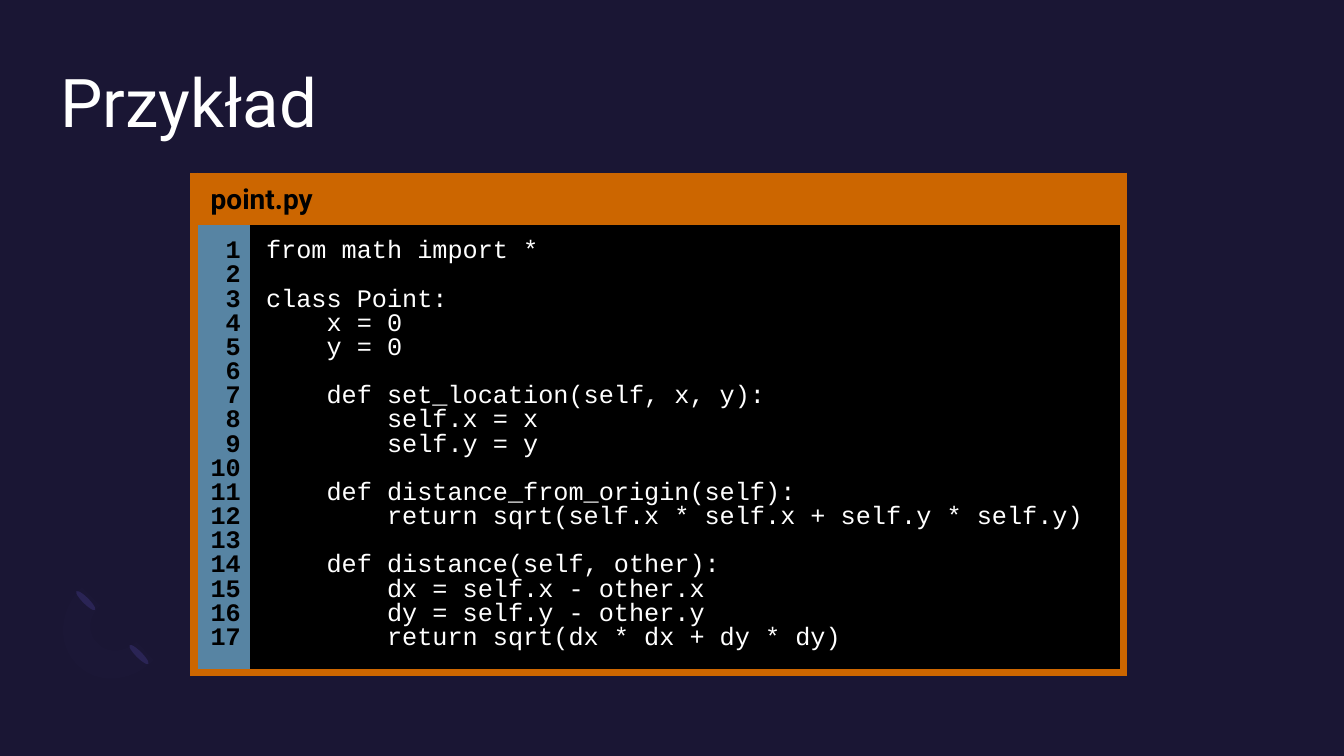
import lxml.etree
import pptx
import pptx.dml.color
import pptx.enum.shapes
import pptx.enum.text
import pptx.oxml
import pptx.oxml.ns
import pptx.util

Pt = pptx.util.Pt
RGBColor = pptx.dml.color.RGBColor
ALIGN = pptx.enum.text.PP_ALIGN

NIGHT = RGBColor(0x1A, 0x16, 0x34)
EYE = RGBColor(0x29, 0x23, 0x53)
SMILE = RGBColor(0x72, 0x66, 0xBE)
ORANGE = RGBColor(0xCC, 0x66, 0x00)
BLUE = RGBColor(0x57, 0x84, 0xA3)
BLACK = RGBColor(0x00, 0x00, 0x00)
WHITE = RGBColor(0xFF, 0xFF, 0xFF)

CODE = """from math import *

class Point:
    x = 0
    y = 0

    def set_location(self, x, y):
        self.x = x
        self.y = y

    def distance_from_origin(self):
        return sqrt(self.x * self.x + self.y * self.y)

    def distance(self, other):
        dx = self.x - other.x
        dy = self.y - other.y
        return sqrt(dx * dx + dy * dy)""".split("\n")


def curve(start, first, second, end, steps=12):
    """Return points along a cubic curve, without its start."""
    points = []
    for step in range(1, steps + 1):
        t = step / steps
        weights = ((1 - t) ** 3, 3 * t * (1 - t) ** 2, 3 * t * t * (1 - t), t ** 3)
        corners = (start, first, second, end)
        points.append(tuple(sum(w * c[axis] for w, c in zip(weights, corners)) for axis in (0, 1)))
    return points


def paint(shape, color):
    """Give a shape a plain fill without line or shadow."""
    shape.shadow.inherit = False
    shape.fill.solid()
    shape.fill.fore_color.rgb = color
    shape.line.fill.background()


def add_face(slide, left, top):
    """Draw the tilted face from two eyes and a faint smile."""
    for x, y in ((38, 38.5), (0, 0)):
        eye = slide.shapes.add_shape(
            pptx.enum.shapes.MSO_SHAPE.OVAL, Pt(left + 18.5 + x), Pt(top + y), Pt(4.5), Pt(19))
        eye.rotation = 135
        paint(eye, EYE)

    outer, inner = (18, 0), (31, 13)
    inner_middle, inner_end = (29, 40), (57, 39)
    outer_end, outer_middle = (69, 52), (14.5, 55)
    points = [outer, inner]
    points += curve(inner, (22, 21), (22, 33.5), inner_middle)
    points += curve(inner_middle, (36, 47.5), (48, 47), inner_end)
    points += [outer_end]
    points += curve(outer_end, (53.5, 68), (28.5, 70), outer_middle)
    points += curve(outer_middle, (0, 41), (1.5, 16.5), outer)
    corners = [(Pt(left + x), Pt(top + y)) for x, y in points]
    builder = slide.shapes.build_freeform(*corners[0])
    builder.add_line_segments(corners[1:], close=True)
    smile = builder.convert_to_shape()
    paint(smile, SMILE)
    color = smile.fill._xPr.find(".//" + pptx.oxml.ns.qn("a:srgbClr"))
    lxml.etree.SubElement(color, pptx.oxml.ns.qn("a:alpha"), val="2000")


def set_title(slide, text, left, top, width, height):
    """Place and format the slide title."""
    title = slide.shapes.title
    title.left, title.top, title.width, title.height = Pt(left), Pt(top), Pt(width), Pt(height)
    frame = title.text_frame
    frame.text = text
    frame.word_wrap = True
    frame.auto_size = pptx.enum.text.MSO_AUTO_SIZE.NONE
    frame.vertical_anchor = pptx.enum.text.MSO_ANCHOR.TOP
    frame.margin_left = frame.margin_top = frame.margin_right = frame.margin_bottom = 0
    paragraph = frame.paragraphs[0]
    paragraph.alignment = ALIGN.LEFT
    paragraph.font.name = "Roboto"
    paragraph.font.size = Pt(48)
    paragraph.font.color.rgb = WHITE


def set_borders(cell, sides):
    """Draw thick orange borders on the named sides and clear the others."""
    properties = cell._tc.get_or_add_tcPr()
    for side in "LRTB":
        width = Pt(6) if side in sides else 0
        line = lxml.etree.SubElement(properties, pptx.oxml.ns.qn(f"a:ln{side}"), w=str(int(width)))
        if side in sides:
            fill = lxml.etree.SubElement(line, pptx.oxml.ns.qn("a:solidFill"))
            lxml.etree.SubElement(fill, pptx.oxml.ns.qn("a:srgbClr"), val=str(ORANGE))
        else:
            lxml.etree.SubElement(line, pptx.oxml.ns.qn("a:noFill"))


def fill_cell(cell, lines, margins, sides, background, color, font, size, spacing, bold, alignment):
    """Write lines into a cell and format it."""
    set_borders(cell, sides)
    cell.fill.solid()
    cell.fill.fore_color.rgb = background
    cell.margin_left, cell.margin_top, cell.margin_right, cell.margin_bottom = map(Pt, margins)
    frame = cell.text_frame
    for index, line in enumerate(lines):
        paragraph = frame.add_paragraph() if index else frame.paragraphs[0]
        paragraph.alignment = alignment
        paragraph.line_spacing = spacing
        paragraph.space_before = Pt(0.2 * size if index else 0)
        paragraph.font.name = font
        paragraph.font.size = Pt(size)
        paragraph.font.bold = bold
        paragraph.font.color.rgb = color
        if line:
            paragraph.add_run().text = line
        else:
            ending = paragraph._p.get_or_add_endParaRPr()
            ending.set("sz", str(size * 100))
            lxml.etree.SubElement(ending, pptx.oxml.ns.qn("a:latin"), typeface=font)


def add_listing(slide, name, code, left, top, width, height):
    """Add a code listing with a file name bar and line numbers."""
    header, gutter = 32, 40
    table = slide.shapes.add_table(2, 2, Pt(left), Pt(top), Pt(width), Pt(height)).table
    table.first_row = table.horz_banding = False
    table.columns[0].width, table.columns[1].width = Pt(gutter), Pt(width - gutter)
    table.rows[0].height, table.rows[1].height = Pt(header), Pt(height - header)
    bar = table.cell(0, 0)
    bar.merge(table.cell(0, 1))
    set_borders(table.cell(0, 1), "RTB")
    fill_cell(bar, [name], (12, 3.6, 3.6, 3.6), "LRTB", ORANGE, BLACK,
              "Roboto", 20, 1.07, True, ALIGN.LEFT)
    numbers = [str(number) for number in range(1, len(code) + 1)]
    fill_cell(table.cell(1, 0), numbers, (3.6, 15.5, 6.5, 15.5), "LTB", BLUE, BLACK,
              "Courier New", 18, 0.67, True, ALIGN.RIGHT)
    fill_cell(table.cell(1, 1), code, (11.6, 15.5, 13, 15.5), "RTB", BLACK, WHITE,
              "Courier New", 18, 0.67, False, ALIGN.LEFT)


def main():
    """Build and save the slide."""
    presentation = pptx.Presentation()
    presentation.slide_width, presentation.slide_height = Pt(960), Pt(540)
    slide = presentation.slides.add_slide(presentation.slide_layouts[5])
    slide.background.fill.solid()
    slide.background.fill.fore_color.rgb = NIGHT
    add_face(slide, 40.5, 419.5)
    set_title(slide, "Przykład", 43.2, 43.2, 873.4, 105)
    add_listing(slide, "point.py", CODE, 138.5, 126, 664, 354)
    presentation.save("out.pptx")


if __name__ == "__main__":
    main()
